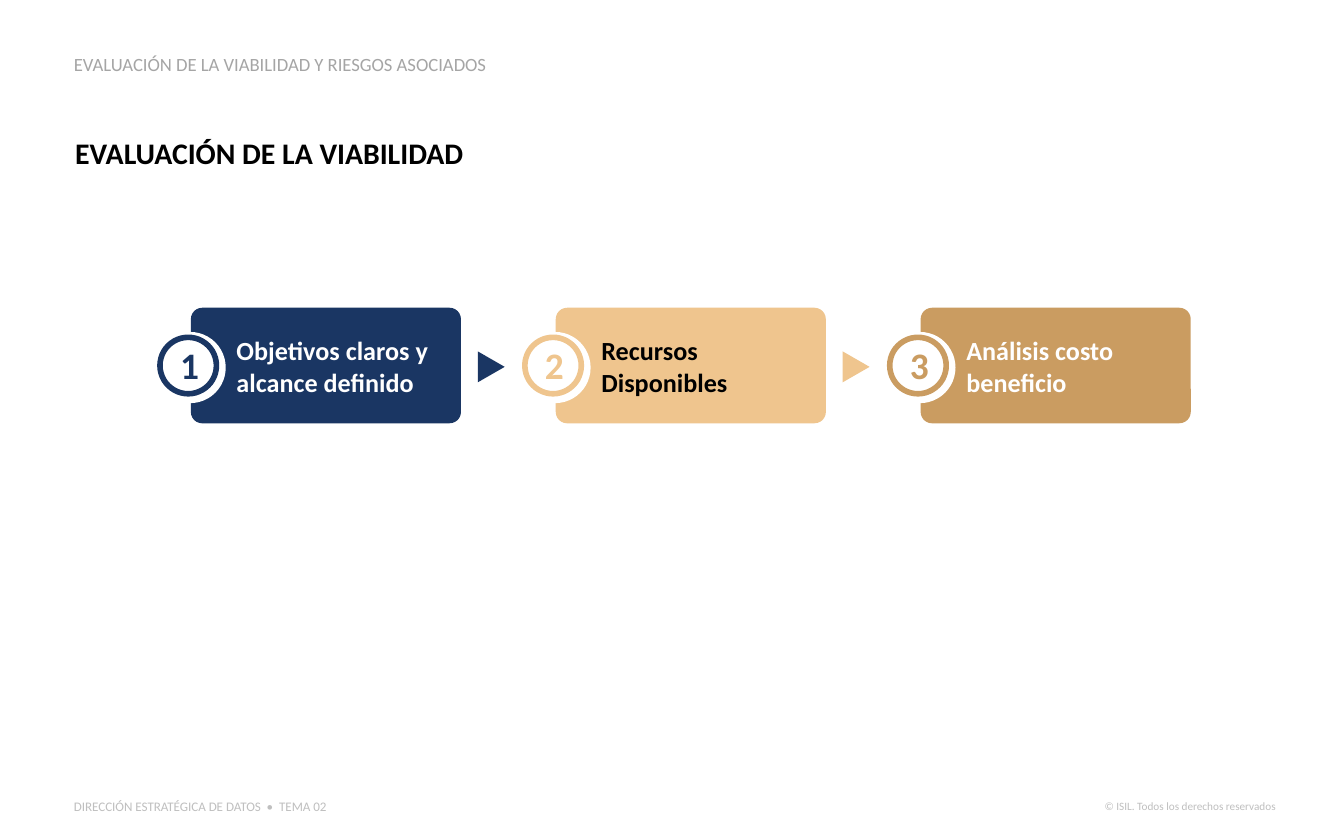
from dataclasses import dataclass

import pptx
import pptx.dml.color
import pptx.enum.shapes
import pptx.enum.text
import pptx.shapes.autoshape
import pptx.slide
import pptx.util

Inches = pptx.util.Inches
Shape = pptx.enum.shapes.MSO_SHAPE
Align = pptx.enum.text.PP_ALIGN
Anchor = pptx.enum.text.MSO_ANCHOR


@dataclass(frozen=True)
class Theme:
    font: str = "Calibri"
    white: str = "FFFFFF"
    black: str = "000000"
    navy: str = "1A3663"
    sand: str = "EFC58E"
    bronze: str = "CA9C61"
    header: str = "A5A5A5"
    footer: str = "BFBFBF"
    title_size: float = 16
    header_size: float = 10
    step_size: float = 14
    number_size: float = 20
    footer_size: float = 7
    rights_size: float = 6
    ring_width: float = 3


@dataclass(frozen=True)
class Box:
    left: float
    top: float
    width: float
    height: float

    def emu(self) -> tuple:
        return tuple(Inches(v) for v in (self.left, self.top, self.width, self.height))


@dataclass(frozen=True)
class Step:
    text: str
    color: str
    text_color: str


THEME = Theme()
STEPS = (
    Step("Objetivos claros y alcance definido", THEME.navy, THEME.white),
    Step("Recursos Disponibles", THEME.sand, THEME.black),
    Step("Análisis costo beneficio", THEME.bronze, THEME.white),
)
FIRST_LEFT = 1.15
STEP_PITCH = 2.715


def rgb(color: str) -> pptx.dml.color.RGBColor:
    return pptx.dml.color.RGBColor.from_string(color)


def write(sp: pptx.shapes.autoshape.Shape, text: str, size: float, color: str,
          bold: bool = False, align: Align = Align.LEFT, anchor: Anchor = Anchor.TOP,
          insets: tuple = (0, 0, 0, 0), wrap: bool = True, spacing: float = 1.0) -> None:
    tf = sp.text_frame
    tf.auto_size = pptx.enum.text.MSO_AUTO_SIZE.NONE
    tf.word_wrap = wrap
    tf.vertical_anchor = anchor
    tf.margin_left, tf.margin_top, tf.margin_right, tf.margin_bottom = map(Inches, insets)
    p = tf.paragraphs[0]
    p.text = text
    p.alignment = align
    p.line_spacing = spacing
    p.font.name = THEME.font
    p.font.size = pptx.util.Pt(size)
    p.font.bold = bold
    p.font.color.rgb = rgb(color)


def add_text(s: pptx.slide.Slide, box: Box, text: str, size: float, color: str, **style) -> None:
    write(s.shapes.add_textbox(*box.emu()), text, size, color, **style)


def add_shape(s: pptx.slide.Slide, kind: Shape, box: Box, fill: str,
              line: str | None = None) -> pptx.shapes.autoshape.Shape:
    sp = s.shapes.add_shape(kind, *box.emu())
    sp.shadow.inherit = False
    sp.fill.solid()
    sp.fill.fore_color.rgb = rgb(fill)
    if line:
        sp.line.color.rgb = rgb(line)
        sp.line.width = pptx.util.Pt(THEME.ring_width)
    else:
        sp.line.fill.background()
    return sp


def add_step(s: pptx.slide.Slide, number: int, left: float, step: Step) -> None:
    card = add_shape(s, Shape.ROUNDED_RECTANGLE, Box(left + 0.27, 2.29, 2.01, 0.86), step.color)
    card.adjustments[0] = 0.098
    add_shape(s, Shape.OVAL, Box(left, 2.47, 0.53, 0.53), THEME.white)
    add_text(s, Box(left + 0.61, 2.49, 1.43, 0.47), step.text, THEME.step_size,
             step.text_color, bold=True)
    add_shape(s, Shape.OVAL, Box(left + 0.04, 2.51, 0.42, 0.42), THEME.white, step.color)
    add_text(s, Box(left + 0.09, 2.5, 0.34, 0.44), str(number), THEME.number_size, step.color,
             bold=True, align=Align.CENTER, insets=(0, 0.05, 0, 0.05), wrap=False)


def add_pointer(s: pptx.slide.Slide, left: float, color: str) -> None:
    sp = add_shape(s, Shape.ISOSCELES_TRIANGLE, Box(left + 2.39, 2.63, 0.23, 0.2), color)
    sp.rotation = 90


def main() -> None:
    prs = pptx.Presentation()
    prs.slide_width, prs.slide_height = Inches(10), Inches(6.25)
    s = prs.slides.add_slide(prs.slide_layouts[5])

    add_text(s, Box(8.09, 5.9, 1.5, 0.2), "© ISIL. Todos los derechos reservados",
             THEME.rights_size, THEME.footer, align=Align.RIGHT, insets=(0, 0.05, 0.1, 0.05))
    add_text(s, Box(0.55, 5.89, 3.06, 0.22), "DIRECCIÓN ESTRATÉGICA DE DATOS  •  TEMA 02",
             THEME.footer_size, THEME.footer, insets=(0, 0.05, 0.1, 0.05))

    title = s.shapes.title
    title.left, title.top, title.width, title.height = Box(0.56, 1, 4.11, 0.27).emu()
    write(title, "EVALUACIÓN DE LA VIABILIDAD", THEME.title_size, THEME.black, bold=True)
    add_text(s, Box(0.55, 0.41, 4.05, 0.15), "EVALUACIÓN DE LA VIABILIDAD Y RIESGOS ASOCIADOS",
             THEME.header_size, THEME.header, anchor=Anchor.BOTTOM, spacing=0.9)

    for i, step in enumerate(STEPS):
        left = FIRST_LEFT + i * STEP_PITCH
        add_step(s, i + 1, left, step)
        if i < len(STEPS) - 1:
            add_pointer(s, left, step.color)

    prs.save("out.pptx")


if __name__ == "__main__":
    main()
